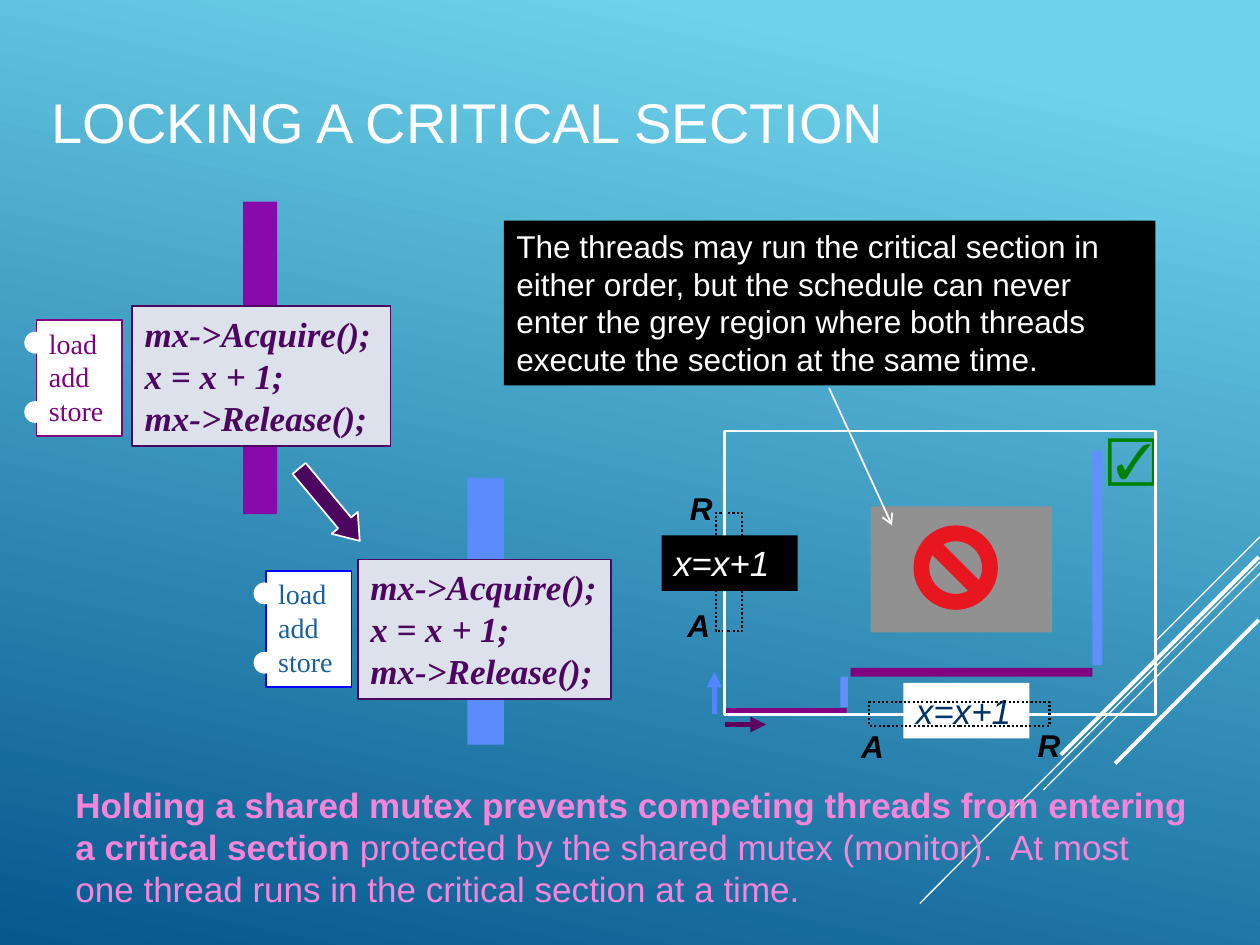
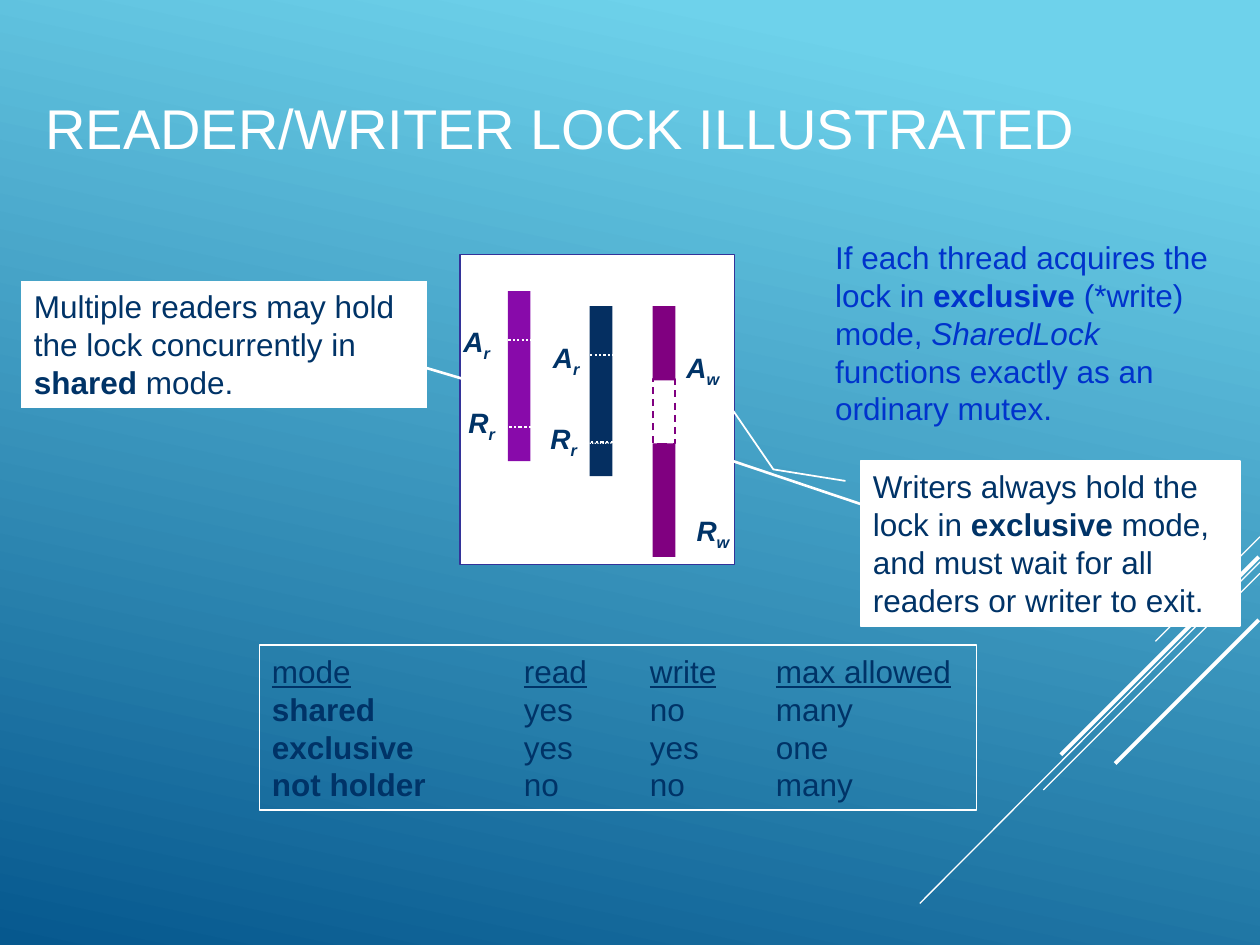
from lxml import etree
from pptx import Presentation
from pptx.dml.color import RGBColor
from pptx.enum.dml import MSO_LINE
from pptx.enum.shapes import MSO_CONNECTOR, MSO_SHAPE
from pptx.enum.text import MSO_ANCHOR, PP_ALIGN
from pptx.oxml.ns import qn
from pptx.util import Inches, Pt

C = {
    "sky": "6ED2EB", "deep": "06588E", "white": "FFFFFF", "black": "000000",
    "violet": "880AAA", "purple": "800080", "plum": "4D0660", "dark_plum": "5D005E",
    "blue": "5A8DFB", "step_blue": "618FFD", "axis_blue": "5385FF", "pure_blue": "0000FF",
    "chip_blue": "195F9E", "royal": "0033CC", "navy": "003367", "bar_navy": "052F61",
    "indigo": "333399", "code_bg": "DCE1EC", "pink": "F585DB", "grey": "919191",
    "green": "008000", "red": "E8161F",
}
SANS, SERIF = "Arial", "Times New Roman"
DOT, DASH = MSO_LINE.ROUND_DOT, MSO_LINE.DASH


def rgb(name):
    return RGBColor.from_string(C[name])


def shape(s, x, y, w, h, fill=None, line=None, width=1, dash=None, kind=MSO_SHAPE.RECTANGLE):
    sp = s.shapes.add_shape(kind, Inches(x), Inches(y), Inches(w), Inches(h))
    sp.shadow.inherit = False
    if fill:
        sp.fill.solid()
        sp.fill.fore_color.rgb = rgb(fill)
    else:
        sp.fill.background()
    if line:
        sp.line.color.rgb = rgb(line)
        sp.line.width = Pt(width)
        if dash:
            sp.line.dash_style = dash
    else:
        sp.line.fill.background()
    return sp


def connector(s, x1, y1, x2, y2, color="white", width=1.0, head=None, dash=None):
    cn = s.shapes.add_connector(MSO_CONNECTOR.STRAIGHT, *map(Inches, (x1, y1, x2, y2)))
    cn.line.color.rgb = rgb(color)
    cn.line.width = Pt(width)
    if dash:
        cn.line.dash_style = dash
    if head:
        etree.SubElement(cn.line._get_or_add_ln(), qn("a:tailEnd"), type=head)
    etree.SubElement(cn._element.spPr, qn("a:effectLst"))
    return cn


def write(sp, paras, size, color, font=SANS, style="", align=PP_ALIGN.LEFT,
          anchor=MSO_ANCHOR.TOP, wrap=True, tabs=()):
    """Each paragraph is a string or a list of (text, flags): b, i, u, - for subscript."""
    tf = sp.text_frame
    tf.word_wrap = wrap
    tf.vertical_anchor = anchor
    for n, para in enumerate(paras):
        p = tf.add_paragraph() if n else tf.paragraphs[0]
        p.alignment = align
        if tabs:
            tab_list = etree.SubElement(p._p.get_or_add_pPr(), qn("a:tabLst"))
            for pos in tabs:
                etree.SubElement(tab_list, qn("a:tab"), pos=str(Inches(pos)), algn="l")
        for text, flags in [(para, "")] if isinstance(para, str) else para:
            flags += style
            r = p.add_run()
            r.text = text
            r.font.name, r.font.size = font, Pt(size)
            r.font.color.rgb = rgb(color)
            r.font.bold, r.font.italic = "b" in flags, "i" in flags
            r.font.underline = "u" in flags
            if "-" in flags:
                r._r.get_or_add_rPr().set("baseline", "-25000")
    return sp


def textbox(s, x, y, w, h, paras, size, color, **kw):
    box = s.shapes.add_textbox(*map(Inches, (x, y, w, h)))
    return write(box, paras, size, color, **kw)


# Shared look
def style_master(master):
    fill = master.background.fill
    fill.gradient()
    fill.gradient_angle = 258
    for stop, pos, name in zip(fill.gradient_stops, (0.1, 1), ("sky", "deep")):
        stop.position = pos
        stop.color.rgb = rgb(name)


def diagonal_lines(s):
    for x1, y1, x2, y2, width in (
            (10, 4.26, 9.17, 5.09, 0.75), (10, 4.46, 7.3, 7.17, 0.75),
            (10, 4.55, 8.28, 6.27, 0.75), (9.99, 4.42, 8.42, 5.99, 2.25),
            (9.99, 4.92, 8.85, 6.06, 2.25)):
        connector(s, x1, y1, x2, y2, width=width)


def new_slide(prs, title, x, y, w):
    s = prs.slides.add_slide(prs.slide_layouts[5])
    diagonal_lines(s)
    t = s.shapes.title
    t.left, t.top, t.width, t.height = map(Inches, (x, y, w, 1.67))
    write(t, [title], 32, "white", anchor=MSO_ANCHOR.MIDDLE)
    return s


# Locking slide
def thread(s, x, y, w, bar, bar_color, chip, chip_line, chip_text):
    """Code box at x, y with its bar and instruction chip at offsets from it."""
    bx, by, bw, bh = bar
    shape(s, x + bx, y + by, bw, bh, bar_color)
    code = shape(s, x, y, w, 1.11, "code_bg", "plum")
    write(code, ["mx->Acquire();", "x = x + 1;", "mx->Release();"], 20, "plum",
          font=SERIF, style="bi", wrap=False)
    cx, cy = x + chip[0], y + chip[1]
    ops = shape(s, cx, cy, 0.68, 0.92, "white", chip_line)
    write(ops, ["load", "add", "store"], 16, chip_text, font=SERIF, wrap=False)
    for dy in (0.1, 0.65):
        shape(s, cx - 0.09, cy + dy, 0.16, 0.16, "white", "white", kind=MSO_SHAPE.OVAL)


def schedule_plot(s, x, y):
    # Path of the schedule
    for dx, dy, w, h, color in (
            (0.92, 1.95, 0.06, 0.24, "step_blue"), (1, 1.88, 1.92, 0.07, "purple"),
            (2.92, 0.16, 0.08, 1.7, "step_blue"), (0.01, 2.2, 0.96, 0.06, "purple")):
        shape(s, x + dx, y + dy, w, h, color)
    # Forbidden region
    shape(s, x + 1.16, y + 0.6, 1.44, 1, "grey")
    shape(s, x - 0.07, y + 0.65, 0.21, 0.94, line="black", width=1.25, dash=DOT)
    for name, dx, dy in (("A", 0.95, 2.3), ("A", -0.43, 1.34),
                         ("R", -0.41, 0.41), ("R", 2.35, 2.29)):
        textbox(s, x + dx, y + dy, 0.45, 0.4, [name], 18, "black", style="bi",
                align=PP_ALIGN.CENTER, anchor=MSO_ANCHOR.MIDDLE)
    connector(s, x + 0.83, y - 0.34, x + 1.33, y + 0.75, head="arrow")
    textbox(s, x + 2.94, y - 0.08, 0.56, 0.57, ["☑"], 28, "green", style="b")
    # Frame and axes
    shape(s, x, y, 3.42, 2.25, line="white", width=1.5)
    connector(s, x - 0.08, y + 2.25, x - 0.08, y + 1.91, "axis_blue", 3, "triangle")
    connector(s, x, y + 2.33, x + 0.33, y + 2.33, "dark_plum", 3, "triangle")
    for dx, dy, w, fill, color in ((-0.5, 0.83, 1.08, "black", "white"),
                                   (1.42, 2, 1, "white", "navy")):
        write(shape(s, x + dx, y + dy, w, 0.44, fill), ["x=x+1"], 20, color, style="i")
    shape(s, x + 1.15, y + 2.15, 1.43, 0.19, line="black", width=1.25, dash=DOT)
    shape(s, x + 1.5, y + 0.75, 0.67, 0.67, "red", kind=MSO_SHAPE.NO_SYMBOL)


def locking_slide(prs):
    s = new_slide(prs, "LOCKING A CRITICAL SECTION", 0.31, 0.13, 7.17)
    thread(s, 1.05, 2.43, 2.05, (0.88, -0.83, 0.27, 2.48), "violet",
           (-0.76, 0.11), "purple", "purple")
    thread(s, 2.84, 4.44, 2.01, (0.87, -0.65, 0.29, 2.12), "blue",
           (-0.73, 0.09), "pure_blue", "chip_blue")
    arrow = shape(s, 2.48, 3.63, 0.27, 0.75, "plum", "white", kind=MSO_SHAPE.DOWN_ARROW)
    arrow.rotation = 320.1
    arrow.adjustments[1] = 0.69
    textbox(s, 0.5, 6.17, 9.08, 1.11, [[
        ("Holding a shared mutex prevents competing threads from entering "
         "a critical section", "b"),
        (" protected by the shared mutex (monitor).  At most one thread runs "
         "in the critical section at a time.", "")]], 20, "pink")
    note = shape(s, 4, 1.75, 5.17, 1.31, "black")
    write(note, ["The threads may run the critical section in either order, but the "
                 "schedule can never enter the grey region where both threads execute "
                 "the section at the same time."], 18, "white")
    schedule_plot(s, 5.75, 3.42)


# Reader/writer slide
def lock_panel(s, x, y):
    shape(s, x, y, 2.18, 2.46, "white", "indigo")
    # Two readers, with dotted marks where each holds the lock
    for dx, dy, color in ((0.38, 0.29, "violet"), (1.03, 0.41, "bar_navy")):
        shape(s, x + dx, y + dy, 0.18, 1.35, color)
        shape(s, x + dx - 0.07, y + dy + 0.39, 0.34, 0.69, line="white", width=1.25, dash=DOT)
    connector(s, x + 1.92, y + 1.49, x + 0.84, y + 1.5, width=0.75, dash=DOT)
    # Writer, waiting in the dashed part
    for dy, h in ((0.41, 0.59), (1.5, 0.9)):
        shape(s, x + 1.53, y + dy, 0.18, h, "purple")
    shape(s, x + 1.53, y + 0.99, 0.18, 0.51, line="purple", dash=DASH)
    for name, sub, dx, dy in (
            ("A", "r", -0.07, 0.51), ("R", "r", -0.03, 1.15), ("A", "r", 0.64, 0.63),
            ("R", "r", 0.62, 1.28), ("A", "w", 1.7, 0.71), ("R", "w", 1.78, 2.01)):
        textbox(s, x + dx, y + dy, 0.5, 0.37, [[(name, ""), (sub, "-")]], 16, "navy",
                style="bi", wrap=False)


def callout(s, x, y, w, h, adjust, paras, line=None):
    sp = shape(s, x, y, w, h, "white", line, kind=MSO_SHAPE.LINE_CALLOUT_2)
    for n, value in enumerate(adjust):
        sp.adjustments[n] = value
    write(sp, paras, 18, "navy")


def mode_table(s, x, y, w, h):
    head = ("mode", "read", "write", "max allowed")
    rows = (("shared", "yes", "no", "many"), ("exclusive", "yes", "yes", "one"),
            ("not holder", "no", "no", "many"))
    paras = [[("\t".join(head), "u")]]
    paras += [[(mode, "b"), ("\t" + "\t".join(cells), "")] for mode, *cells in rows]
    write(shape(s, x, y, w, h, line="white"), paras, 18, "navy",
          anchor=MSO_ANCHOR.MIDDLE, tabs=(2, 3, 4))


def reader_writer_slide(prs):
    s = new_slide(prs, "READER/WRITER LOCK ILLUSTRATED", 0.26, 0.17, 8.82)
    lock_panel(s, 3.65, 2.02)
    callout(s, 0.17, 2.23, 3.22, 1.01, (0.15, 1.04, 0.15, 1.17, 0.9, 1.34), [
        "Multiple readers may hold",
        [("the lock concurrently in ", ""), ("shared", "b"), (" mode.", "")]])
    callout(s, 6.83, 3.66, 3.01, 1.31, (0.12, -0.04, 0.05, -0.23, -0.42, -0.37), [[
        ("Writers always hold the lock in ", ""), ("exclusive", "b"),
        (" mode, and must wait for all readers or writer to exit.", "")]], "white")
    mode_table(s, 2.06, 5.12, 5.69, 1.31)
    textbox(s, 6.53, 1.83, 3.31, 1.62, [[
        ("If each thread acquires the lock in ", ""), ("exclusive", "b"),
        (" (*write) mode, ", ""), ("SharedLock", "i"),
        (" functions exactly as an ordinary mutex.", "")]], 18, "royal",
        anchor=MSO_ANCHOR.MIDDLE)
    # Pointers from the callouts to the bars
    connector(s, 3.08, 2.83, 3.92, 3.08, width=1.5, head="triangle")
    connector(s, 6.83, 4, 5.58, 3.58, width=1.5, head="triangle")


def main():
    prs = Presentation()
    prs.slide_width, prs.slide_height = Inches(10), Inches(7.5)
    style_master(prs.slide_master)
    locking_slide(prs)
    reader_writer_slide(prs)
    prs.save("out.pptx")


if __name__ == "__main__":
    main()
